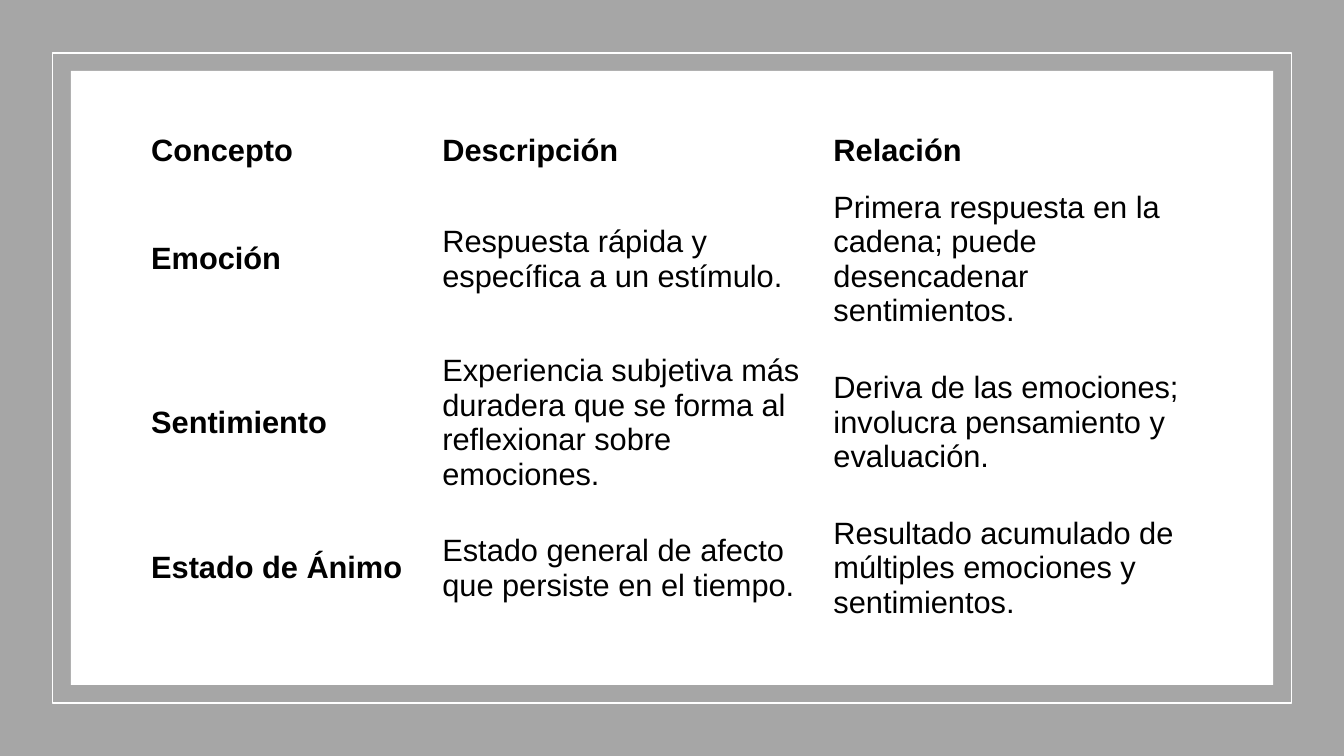
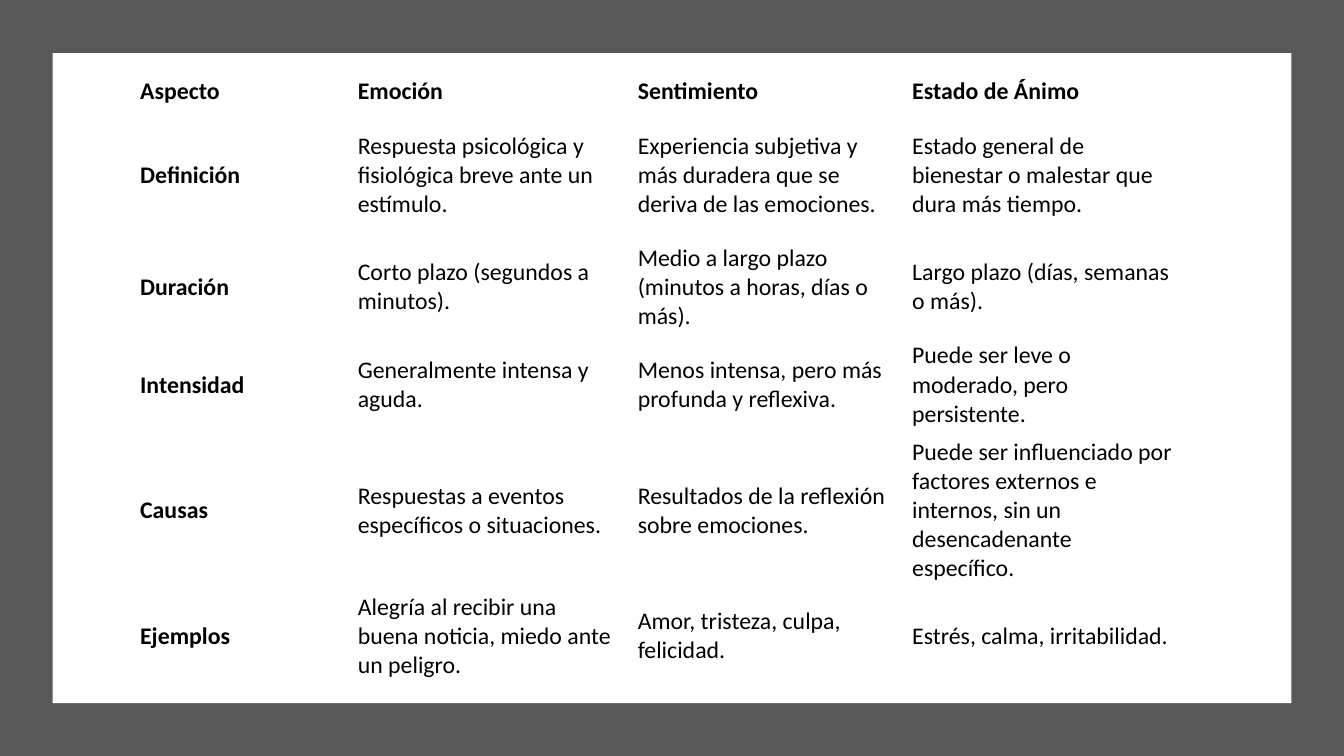
from pptx import Presentation
from pptx.dml.color import RGBColor
from pptx.enum import shapes, text
from pptx.util import Pt

WHITE = RGBColor(0xFF, 0xFF, 0xFF)
BLACK = RGBColor(0x00, 0x00, 0x00)
LIGHT_GRAY = RGBColor(0xA6, 0xA6, 0xA6)
DARK_GRAY = RGBColor(0x59, 0x59, 0x59)

W, H = 960, 540
FRAME = (37.6, 37.9, 884.8, 464.4)
PANEL = (50.6, 50.6, 858.8, 438.6)


def add_rect(s, box, fill=None, line=None):
    sp = s.shapes.add_shape(shapes.MSO_SHAPE.RECTANGLE, *[Pt(v) for v in box])
    sp.shadow.inherit = False
    if fill is None:
        sp.fill.background()
    else:
        sp.fill.solid()
        sp.fill.fore_color.rgb = fill
    if line is None:
        sp.line.fill.background()
    else:
        sp.line.color.rgb = line
        sp.line.width = Pt(1)


def add_text_table(s, left, top, widths, heights, rows, font, size, inset):
    """Plain table with a bold header row and a bold first column."""
    tbl = s.shapes.add_table(len(rows), len(widths), Pt(left), Pt(top),
                             Pt(sum(widths)), Pt(sum(heights))).table
    tbl.first_row = tbl.horz_banding = False
    for col, width in zip(tbl.columns, widths):
        col.width = Pt(width)
    for row, height in zip(tbl.rows, heights):
        row.height = Pt(height)
    for i, row in enumerate(rows):
        for j, value in enumerate(row):
            cell = tbl.cell(i, j)
            cell.fill.background()
            cell.vertical_anchor = text.MSO_ANCHOR.MIDDLE
            cell.margin_left = cell.margin_right = Pt(inset[0])
            cell.margin_top = cell.margin_bottom = Pt(inset[1])
            cell.text_frame.text = value
            r = cell.text_frame.paragraphs[0].runs[0]
            r.font.name = font
            r.font.size = Pt(size)
            r.font.bold = i == 0 or j == 0
            r.font.color.rgb = BLACK


prs = Presentation()
prs.slide_width, prs.slide_height = Pt(W), Pt(H)
blank = prs.slide_layouts[6]

# Slide 1: concepts and how they relate
s = prs.slides.add_slide(blank)
add_rect(s, (0, 0, W, H), fill=LIGHT_GRAY)
add_rect(s, FRAME, line=WHITE)
add_rect(s, PANEL, fill=WHITE)
concepts = [
    ("Concepto", "Descripción", "Relación"),
    ("Emoción",
     "Respuesta rápida y específica a un estímulo.",
     "Primera respuesta en la cadena; puede desencadenar sentimientos."),
    ("Sentimiento",
     "Experiencia subjetiva más duradera que se forma al reflexionar sobre emociones.",
     "Deriva de las emociones; involucra pensamiento y evaluación."),
    ("Estado de Ánimo",
     "Estado general de afecto que persiste en el tiempo.",
     "Resultado acumulado de múltiples emociones y sentimientos."),
]
add_text_table(s, 99.4, 88.6, [208, 279.4, 274.3], [38.2, 116.8, 116.8, 91],
               concepts, "Arial", 22, (8.6, 4.3))

# Slide 2: comparison by aspect
s = prs.slides.add_slide(blank)
add_rect(s, (0, 0, W, H), fill=DARK_GRAY)
add_rect(s, FRAME, fill=WHITE)
aspects = [
    ("Aspecto", "Emoción", "Sentimiento", "Estado de Ánimo"),
    ("Definición",
     "Respuesta psicológica y fisiológica breve ante un estímulo.",
     "Experiencia subjetiva y más duradera que se deriva de las emociones.",
     "Estado general de bienestar o malestar que dura más tiempo."),
    ("Duración",
     "Corto plazo (segundos a minutos).",
     "Medio a largo plazo (minutos a horas, días o más).",
     "Largo plazo (días, semanas o más)."),
    ("Intensidad",
     "Generalmente intensa y aguda.",
     "Menos intensa, pero más profunda y reflexiva.",
     "Puede ser leve o moderado, pero persistente."),
    ("Causas",
     "Respuestas a eventos específicos o situaciones.",
     "Resultados de la reflexión sobre emociones.",
     "Puede ser influenciado por factores externos e internos, "
     "sin un desencadenante específico."),
    ("Ejemplos",
     "Alegría al recibir una buena noticia, miedo ante un peligro.",
     "Amor, tristeza, culpa, felicidad.",
     "Estrés, calma, irritabilidad."),
]
add_text_table(s, 93.6, 50.4, [155.5, 200, 196, 202.3],
               [30.2, 89.8, 69.7, 69.7, 109.8, 69.7],
               aspects, "Calibri", 17, (6.5, 3))

prs.save("out.pptx")
